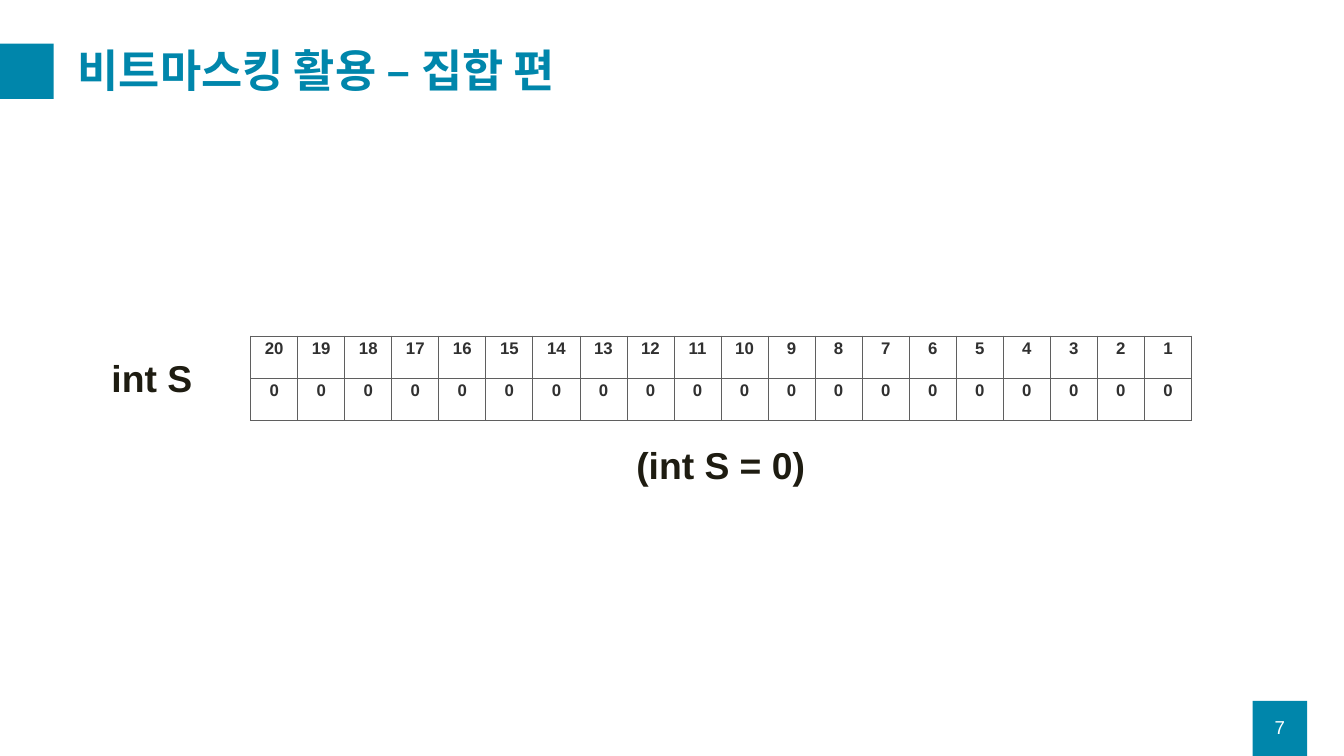
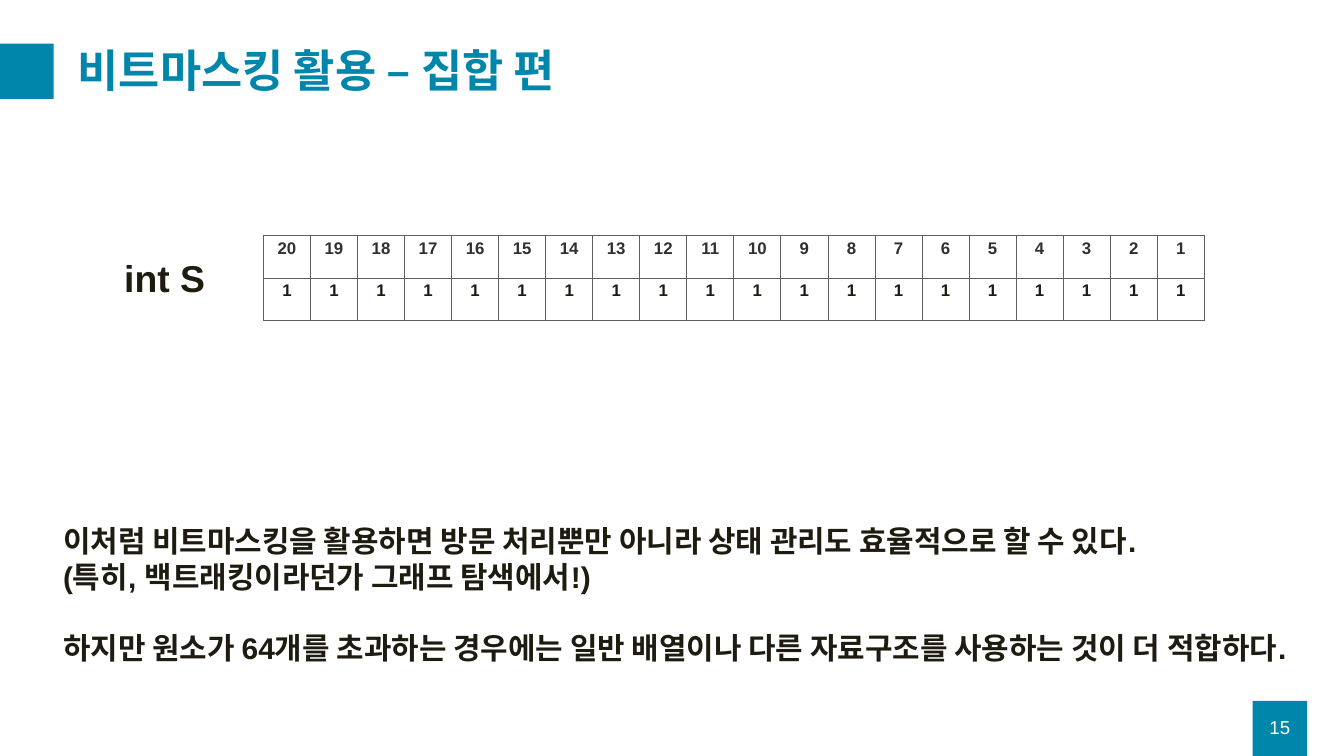
from lxml import etree
from pptx import Presentation, util as u
from pptx.dml.color import RGBColor
from pptx.enum import shapes, text
from pptx.oxml import ns

COLORS = {"teal": "0086AB", "ink": "1E1C11", "digit": "303030", "grid": "5F5F5F", "white": "FFFFFF"}
FONT = "Arial"
TITLE = "비트마스킹 활용 – 집합 편"
COLUMNS, ROWS = 20, 11.25
BITS = 20
CELL_WIDTH, CELL_HEIGHT = 0.7, 0.63

deck = Presentation()
deck.slide_width, deck.slide_height = u.Inches(20), u.Inches(11.25)
COLUMN, ROW = deck.slide_width / COLUMNS, deck.slide_height / ROWS


def place(left, top, width, height):
    return [round(left * COLUMN), round(top * ROW), round(width * COLUMN), round(height * ROW)]


def write(frame, lines, size, color, bold=True, align=text.PP_ALIGN.LEFT):
    for index, line in enumerate(lines):
        para = frame.paragraphs[0] if index == 0 else frame.add_paragraph()
        para.text = line
        para.alignment = align
        para.font.name, para.font.size, para.font.bold = FONT, u.Pt(size), bold
        para.font.color.rgb = RGBColor.from_string(COLORS[color])


pages = [
    {"number": "7", "left": 1.56, "top": 5, "bit": "0", "bit_color": "digit"},
    {"number": "15", "left": 1.75, "top": 3.51, "bit": "1", "bit_color": "ink"},
]

for content in pages:
    page = deck.slides.add_slide(deck.slide_layouts[6])
    left, top = content["left"], content["top"]

    for band_left, band_top in [(18.64, 10.43), (-0.01, 0.65)]:
        band = page.shapes.add_shape(shapes.MSO_SHAPE.RECTANGLE, *place(band_left, band_top, 0.81, 0.82))
        band.shadow.inherit = False
        band.fill.solid()
        band.fill.fore_color.rgb = RGBColor.from_string(COLORS["teal"])
        band.line.fill.background()

    title = page.shapes.add_textbox(*place(1.06, 0.5, 18.25, 1.18)).text_frame
    title.word_wrap = True
    title.vertical_anchor = text.MSO_ANCHOR.MIDDLE
    write(title, [TITLE], 48, "teal")
    title.paragraphs[0].line_spacing = 0.9

    number = page.shapes.add_textbox(*place(18.64, 10.52, 0.81, 0.6)).text_frame
    number.word_wrap = True
    number.vertical_anchor = text.MSO_ANCHOR.MIDDLE
    write(number, [content["number"]], 20, "white", bold=False, align=text.PP_ALIGN.CENTER)

    label = page.shapes.add_textbox(*place(left, top + 0.24, 1.71, 0.77)).text_frame
    write(label, ["int S"], 40, "ink")

    table = page.shapes.add_table(
        2, BITS, *place(left + 2.17, top, BITS * CELL_WIDTH, 2 * CELL_HEIGHT)
    ).table
    table.first_row = table.horz_banding = False
    for index in range(BITS):
        bits = [(str(BITS - index), "digit"), (content["bit"], content["bit_color"])]
        for row, (value, color) in enumerate(bits):
            cell = table.cell(row, index)
            write(cell.text_frame, [value], 18, color, align=text.PP_ALIGN.CENTER)
            properties = cell._tc.get_or_add_tcPr()
            for side in ("a:lnL", "a:lnR", "a:lnT", "a:lnB"):
                border = etree.SubElement(properties, ns.qn(side), w=str(u.Pt(1)))
                fill = etree.SubElement(border, ns.qn("a:solidFill"))
                etree.SubElement(fill, ns.qn("a:srgbClr"), val=COLORS["grid"])
            cell.fill.background()

empty_set, full_set = deck.slides

formula = empty_set.shapes.add_textbox(*place(8.93, 6.53, 3.59, 0.77)).text_frame
write(formula, ["(int S = 0)"], 40, "ink", align=text.PP_ALIGN.CENTER)

summary = full_set.shapes.add_textbox(*place(0.84, 7.73, 19, 2.79)).text_frame
summary.word_wrap = True
write(summary, [
    "이처럼 비트마스킹을 활용하면 방문 처리뿐만 아니라 상태 관리도 효율적으로 할 수 있다.",
    "(특히, 백트래킹이라던가 그래프 탐색에서!)",
    "하지만 원소가 64개를 초과하는 경우에는 일반 배열이나 다른 자료구조를 사용하는 것이 더 적합하다.",
], 32, "ink")
summary.paragraphs[-1].space_before = u.Pt(38)

deck.save("out.pptx")
